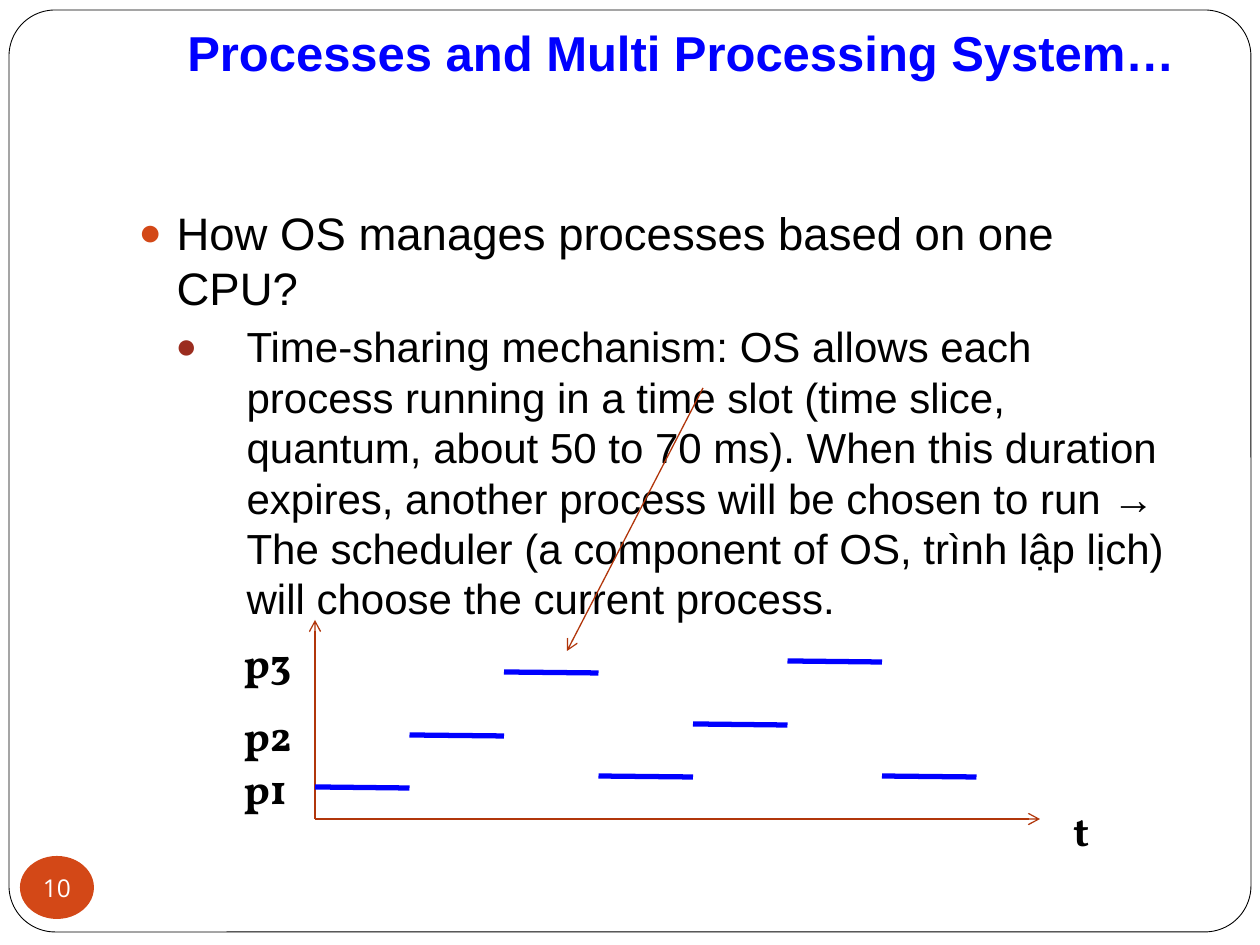
"""Build the slide on time-sharing between processes on one CPU."""
from dataclasses import dataclass

from lxml import etree
from pptx import Presentation
from pptx.dml.color import RGBColor as RGB
from pptx.enum.shapes import MSO_CONNECTOR as CONN, MSO_SHAPE as SHAPE
from pptx.enum.text import MSO_ANCHOR as ANCHOR, MSO_AUTO_SIZE as AUTO, PP_ALIGN as ALIGN
from pptx.oxml.ns import qn
from pptx.util import Emu, Pt


@dataclass(frozen=True)
class Theme:
    white: str = "FFFFFF"
    black: str = "000000"
    blue: str = "0000FF"
    orange: str = "D34817"
    brick: str = "9B2D1F"
    axis: str = "B1360B"
    sans: str = "Arial"
    serif: str = "Vollkorn"
    number_font: str = "Open Sans"
    title: int = 28
    bullet: int = 26
    detail: int = 24
    label: int = 24
    number: int = 14


T = Theme()
PX = 914400 / 126


def px(*values):
    return [Emu(round(v * PX)) for v in values]


def line(ends, color, width, arrow=False):
    c = s.shapes.add_connector(CONN.STRAIGHT, *px(*ends))
    c.line.color.rgb = RGB.from_string(color)
    c.line.width = Pt(width)
    if arrow:
        etree.SubElement(c.line._get_or_add_ln(), qn("a:tailEnd"), type="arrow")
    etree.SubElement(c._element.spPr, qn("a:effectLst"))


prs = Presentation()
prs.slide_width, prs.slide_height = px(1260, 945)
s = prs.slides.add_slide(prs.slide_layouts[1])
title, body = s.placeholders

frame = s.shapes.add_shape(SHAPE.ROUNDED_RECTANGLE, *px(9, 10, 1242, 922))
frame.adjustments[0] = 0.05
frame.shadow.inherit = False
frame.fill.solid()
frame.fill.fore_color.rgb = RGB.from_string(T.white)
frame.line.color.rgb = RGB.from_string(T.black)
frame.line.width = Pt(0.5)
title._element.addprevious(frame._element)

title.left, title.top, title.width, title.height = px(126, 0, 1061, 94)
tf = title.text_frame
tf.text = "Processes and Multi Processing System…"
tf.auto_size = AUTO.NONE
tf.vertical_anchor = ANCHOR.BOTTOM
tf.margin_bottom = px(13)[0]
p = tf.paragraphs[0]
p.alignment = ALIGN.RIGHT
f = p.runs[0].font
f.name, f.size, f.bold = T.sans, Pt(T.title), True
f.color.rgb = RGB.from_string(T.blue)

body.left, body.top, body.width, body.height = px(126, 199, 1071, 410)
tf = body.text_frame
tf.auto_size = AUTO.NONE
items = [
    ("How OS manages processes based on one CPU?", T.bullet, 5.8, 38, -38, T.orange),
    ("Time-sharing mechanism: OS allows each process running in a time slot "
     "(time slice, quantum, about 50 to 70 ms). When this duration expires, "
     "another process will be chosen to run → The scheduler (a component of OS, "
     "trình lập lịch) will choose the current process.", T.detail, 3.7, 108, -71, T.brick),
]
for level, (text, size, before, margin, indent, color) in enumerate(items):
    p = tf.add_paragraph() if level else tf.paragraphs[0]
    p.text = text
    p.level = level
    p.space_before = Pt(before)
    f = p.runs[0].font
    f.name, f.size = T.sans, Pt(size)
    f.color.rgb = RGB.from_string(T.black)
    pPr = p._p.get_or_add_pPr()
    for name, value in zip(("marL", "indent"), px(margin, indent)):
        pPr.set(name, str(value))
    etree.SubElement(etree.SubElement(pPr, qn("a:buClr")), qn("a:srgbClr"), val=color)
    etree.SubElement(pPr, qn("a:buSzPct"), val="85000")
    etree.SubElement(pPr, qn("a:buFont"), typeface=T.sans)
    etree.SubElement(pPr, qn("a:buChar"), char="●")

badge = s.shapes.add_shape(SHAPE.OVAL, *px(20, 856, 74, 63))
badge.shadow.inherit = False
badge.fill.solid()
badge.fill.fore_color.rgb = RGB.from_string(T.orange)
badge.line.fill.background()
tf = badge.text_frame
tf.text = "10"
tf.word_wrap = False
tf.vertical_anchor = ANCHOR.MIDDLE
tf.margin_left = tf.margin_right = tf.margin_top = tf.margin_bottom = 0
p = tf.paragraphs[0]
p.alignment = ALIGN.CENTER
f = p.runs[0].font
f.name, f.size = T.number_font, Pt(T.number)
f.color.rgb = RGB.from_string(T.white)

origin_x, origin_y = 315, 819
line((origin_x, origin_y, 1040, origin_y), T.axis, 0.75, arrow=True)
line((origin_x, origin_y, origin_x, 620), T.axis, 0.75, arrow=True)

labels = [("t", 1061, 798, 116), ("p1", 231, 756, 73),
          ("p2", 231, 703, 95), ("p3", 231, 630, 84)]
for text, left, top, width in labels:
    tf = s.shapes.add_textbox(*px(left, top, width, 63)).text_frame
    tf.text = text
    tf.word_wrap = True
    tf.auto_size = AUTO.SHAPE_TO_FIT_TEXT
    f = tf.paragraphs[0].runs[0].font
    f.name, f.size, f.bold = T.serif, Pt(T.label), True
    f.color.rgb = RGB.from_string(T.black)

slot = 94.5
for i, y in enumerate([787, 735, 672, 776, 724, 661, 776]):
    left = origin_x + i * slot
    line((left, y, left + slot, y + 1), T.blue, 3)

line((703, 388, 567, 651), T.axis, 0.75, arrow=True)

prs.save("out.pptx")
